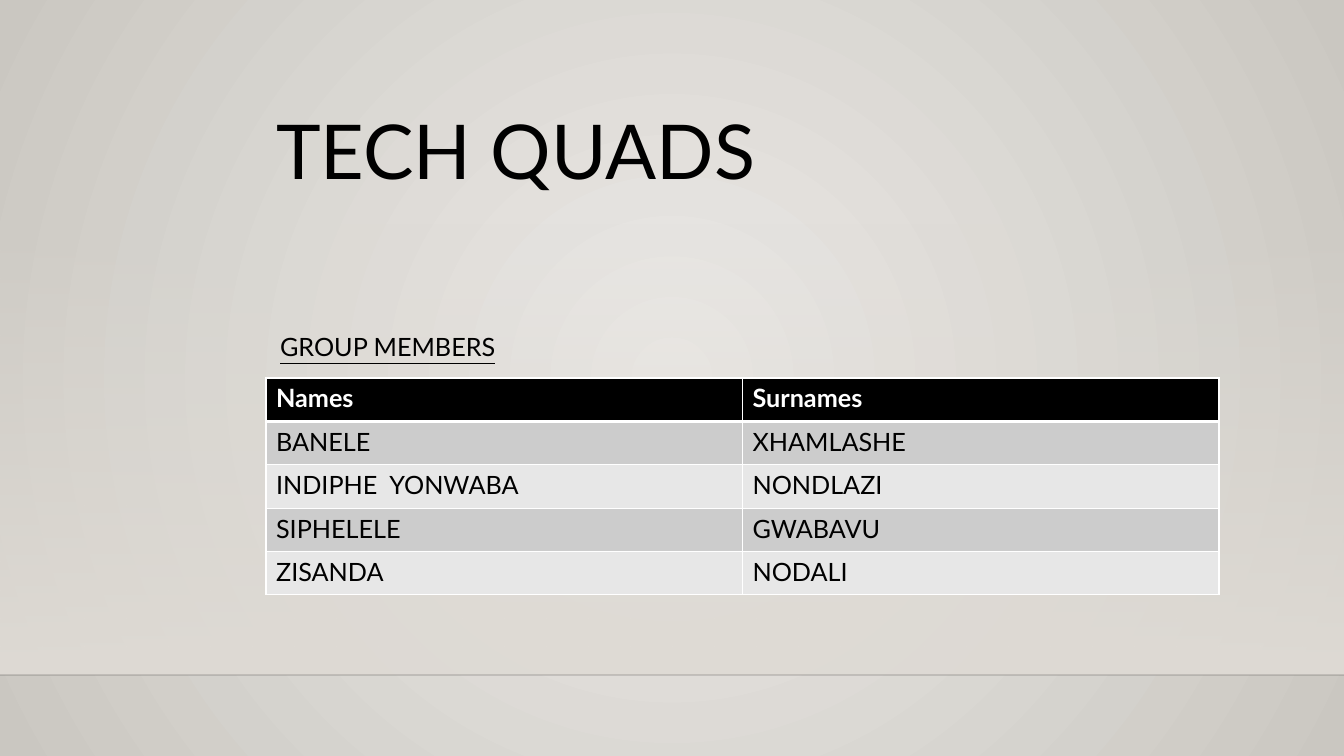
from lxml.etree import SubElement
from pptx import Presentation
from pptx.dml.color import RGBColor
from pptx.enum.shapes import MSO_CONNECTOR as Connector, MSO_SHAPE as Shape
from pptx.enum.text import MSO_ANCHOR as Anchor, PP_ALIGN as Align
from pptx.oxml import parse_xml
from pptx.oxml.ns import nsdecls, qn
from pptx.util import Emu, Inches, Pt

TEAM = "TECH QUADS"
MEMBERS_HEADING = "GROUP MEMBERS"
MEMBERS = [
    ("Names", "Surnames"),
    ("BANELE", "XHAMLASHE"),
    ("INDIPHE  YONWABA", "NONDLAZI"),
    ("SIPHELELE", "GWABAVU"),
    ("ZISANDA", "NODALI"),
]

BLACK, WHITE, WALL = "000000", "FFFFFF", "DFDBD5"
BACKDROP = ("ECEAE7", "CAC7C1")
BANDS = ("E7E7E7", "CCCCCC")
SLIDE_W, SLIDE_H = 1344, 756
WALL_TOP, FLOOR_Y = 223, 675
TITLE_BOX = (266, 89, 953, 107)
HEADING_BOX = (270, 327, 945, 51)
MEMBERS_BOX = (266, 378, 953, 217)
SIDES = ("L", "R", "T", "B")

PX = Inches(1) / 100.8


def px(*lengths):
    return [Emu(round(length * PX)) for length in lengths]


def rgb(colour):
    return RGBColor.from_string(colour)


def set_alpha(colour_element, percent):
    SubElement(colour_element, qn("a:alpha")).set("val", str(percent * 1000))


def style_text(frame, text, size, colour, **formats):
    frame.text = text
    font = frame.paragraphs[0].runs[0].font
    for name, value in {"name": "Lato", "size": Pt(size), **formats}.items():
        setattr(font, name, value)
    font.color.rgb = rgb(colour)


def set_gradient(fill, colours):
    fill.gradient()
    for stop, position, colour in zip(fill.gradient_stops, (0, 1), colours):
        stop.position = position
        stop.color.rgb = rgb(colour)


def set_borders(cell, widths):
    """Draw white cell borders, given in points per side; 0 means none."""
    properties = cell._tc.get_or_add_tcPr()
    for side in SIDES:
        width = widths[side]
        fill = f'<a:solidFill><a:srgbClr val="{WHITE}"/></a:solidFill>' if width else "<a:noFill/>"
        properties.append(parse_xml(
            f'<a:ln{side} {nsdecls("a")} w="{Pt(width)}">{fill}</a:ln{side}>'))


def add_plain_table(slide, row_count, column_count, box):
    table = slide.shapes.add_table(row_count, column_count, *px(*box)).table
    table.first_row = table.horz_banding = False
    return table


def paint_background(slide):
    set_gradient(slide.background.fill, BACKDROP)
    gradient = slide.background._cSld.find(".//" + qn("a:gradFill"))
    gradient.replace(gradient.find(qn("a:lin")), parse_xml(
        f'<a:path {nsdecls("a")} path="circle">'
        '<a:fillToRect l="50000" t="50000" r="50000" b="50000"/></a:path>'))


def add_wall(slide):
    wall = slide.shapes.add_shape(
        Shape.RECTANGLE, *px(0, WALL_TOP, SLIDE_W, FLOOR_Y - WALL_TOP))
    wall.shadow.inherit = False
    wall.line.fill.background()
    set_gradient(wall.fill, (WALL, WALL))
    wall.fill.gradient_angle = 270
    set_alpha(wall._element.spPr.find(".//" + qn("a:srgbClr")), 0)


def add_floor_line(slide):
    floor = slide.shapes.add_connector(
        Connector.STRAIGHT, *px(0, FLOOR_Y, SLIDE_W, FLOOR_Y))
    floor.line.width = Pt(1)
    floor.line.color.rgb = rgb(BLACK)
    properties = floor._element.spPr
    set_alpha(properties.find(".//" + qn("a:srgbClr")), 20)
    SubElement(properties, qn("a:effectLst"))


def add_title(slide):
    title = slide.shapes.title
    title.left, title.top, title.width, title.height = px(*TITLE_BOX)
    frame = title.text_frame
    style_text(frame, TEAM, 54, BLACK)
    frame.vertical_anchor = Anchor.BOTTOM
    frame.margin_bottom = 0
    frame.paragraphs[0].alignment = Align.LEFT
    frame.paragraphs[0].line_spacing = 0.9


def add_members(slide):
    table = add_plain_table(slide, len(MEMBERS), len(MEMBERS[0]), MEMBERS_BOX)
    for row, person in enumerate(MEMBERS):
        is_header = row == 0
        widths = {**dict.fromkeys(SIDES, 1), "T": 3 if row == 1 else 1, "B": 3 if is_header else 1}
        for column, text in enumerate(person):
            cell = table.cell(row, column)
            set_borders(cell, widths)
            cell.fill.solid()
            cell.fill.fore_color.rgb = rgb(BLACK if is_header else BANDS[row % 2])
            style_text(cell.text_frame, text, 18, WHITE if is_header else BLACK, bold=is_header)


def add_heading(slide):
    cell = add_plain_table(slide, 1, 1, HEADING_BOX).cell(0, 0)
    set_borders(cell, dict.fromkeys(SIDES, 0))
    cell.fill.background()
    style_text(cell.text_frame, MEMBERS_HEADING, 18, BLACK, underline=True)


def main():
    deck = Presentation()
    deck.slide_width, deck.slide_height = px(SLIDE_W, SLIDE_H)
    slide = deck.slides.add_slide(deck.slide_layouts[5])
    paint_background(slide)
    for add_part in (add_wall, add_floor_line, add_title, add_members, add_heading):
        add_part(slide)
    deck.save("out.pptx")


if __name__ == "__main__":
    main()
